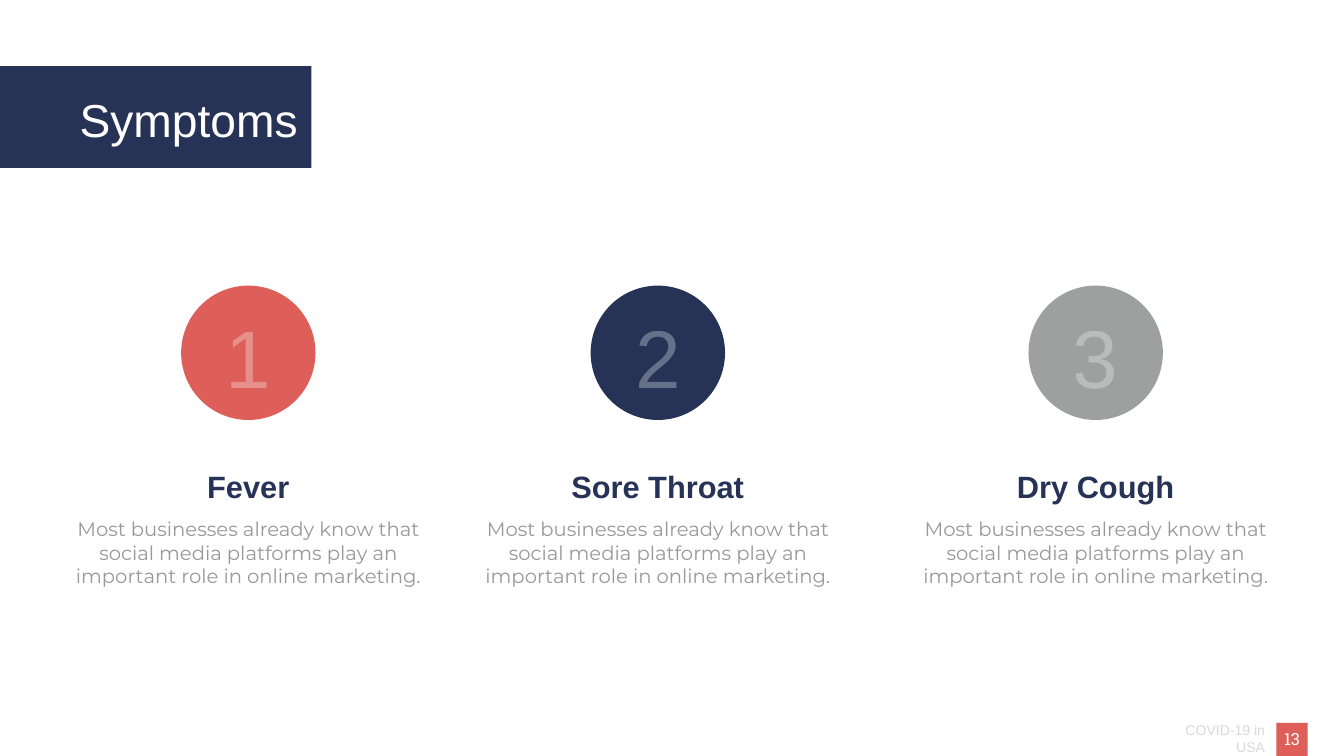
from lxml import etree
from pptx import Presentation
from pptx import util as u
from pptx.dml import color
from pptx.enum import shapes, text
from pptx.oxml import ns

SCALE = 9525
NAVY, CORAL, GREY = "263357", "DE5F5A", "9DA09E"
BLURB = ("Most businesses already know that social media platforms "
         "play an important role in online marketing.")
ITEMS = [
    (473, CORAL, "Fever"),
    (1253, NAVY, "Sore Throat"),
    (2087, GREY, "Dry Cough"),
]
LEFT, MID, RIGHT = text.PP_ALIGN.LEFT, text.PP_ALIGN.CENTER, text.PP_ALIGN.RIGHT


def px(*sides):
    """Turn px lengths into EMU."""
    return [u.Emu(side * SCALE) for side in sides]


def paint(fill, code, alpha=100):
    """Give a fill a solid hex colour, with opacity in percent."""
    fill.solid()
    fill.fore_color.rgb = color.RGBColor.from_string(code)
    if alpha < 100:
        for node in fill._xPr.iter(ns.qn("a:srgbClr")):
            etree.SubElement(node, ns.qn("a:alpha")).set("val", str(alpha * 1000))


def write(shape, words, size, code, align=MID, face="Arial", bold=False, alpha=100):
    """Fill a shape with one formatted paragraph."""
    frame = shape.text_frame
    look = {"word_wrap": True, "auto_size": text.MSO_AUTO_SIZE.NONE,
            "vertical_anchor": text.MSO_ANCHOR.TOP}
    for key, value in look.items():
        setattr(frame, key, value)
    para = frame.paragraphs[0]
    para.alignment = align
    run = para.add_run()
    run.text = words
    style = {"name": face, "size": u.Pt(size), "bold": bold}
    for key, value in style.items():
        setattr(run.font, key, value)
    paint(run.font.fill, code, alpha)


def label(slide, box, words, size, code, **style):
    """Add a text box."""
    write(slide.shapes.add_textbox(*px(*box)), words, size, code, **style)


def block(slide, kind, box, code):
    """Add a plain filled shape without outline."""
    shape = slide.shapes.add_shape(kind, *px(*box))
    shape.shadow.inherit = False
    paint(shape.fill, code)
    shape.line.fill.background()
    return shape


def header(slide):
    """Place the title on its banner."""
    title = slide.shapes.title
    banner = block(slide, shapes.MSO_SHAPE.RECTANGLE, (0, 126, 593, 194), NAVY)
    title.element.addprevious(banner.element)
    place = dict(zip(("left", "top", "width", "height"), px(142, 169, 593, 116)))
    for key, value in place.items():
        setattr(title, key, value)
    write(title, "Symptoms", 66, "FFFFFF", align=LEFT)


def symptom(slide, number, mid, code, name):
    """Draw one numbered symptom centred on mid."""
    def span(top, width, height):
        """Centre a box on the column."""
        return mid - width // 2, top, width, height

    block(slide, shapes.MSO_SHAPE.OVAL, span(544, 256, 256), code)
    label(slide, span(579, 346, 199), str(number), 117, "FFFFFF", alpha=30)
    label(slide, span(886, 606, 81), name, 44, NAVY, bold=True)
    label(slide, span(980, 684, 145), BLURB, 28, "999999", face="Montserrat")


def footer(slide):
    """Add the deck name and page number."""
    block(slide, shapes.MSO_SHAPE.RECTANGLE, (2431, 1377, 60, 63), CORAL)
    label(slide, (2414, 1383, 94, 50), "13", 24, "FFFFFF", face="Roboto Slab")
    label(slide, (2201, 1370, 218, 70), "COVID-19 in USA", 20, "D9D9D9", align=RIGHT)


def main():
    """Build and save the slide."""
    deck = Presentation()
    deck.slide_width, deck.slide_height = px(2560, 1440)
    slide = deck.slides.add_slide(deck.slide_layouts[5])
    paint(slide.background.fill, "FFFFFF")
    footer(slide)
    header(slide)
    for number, item in enumerate(ITEMS, 1):
        symptom(slide, number, *item)
    deck.save("out.pptx")


if __name__ == "__main__":
    main()
